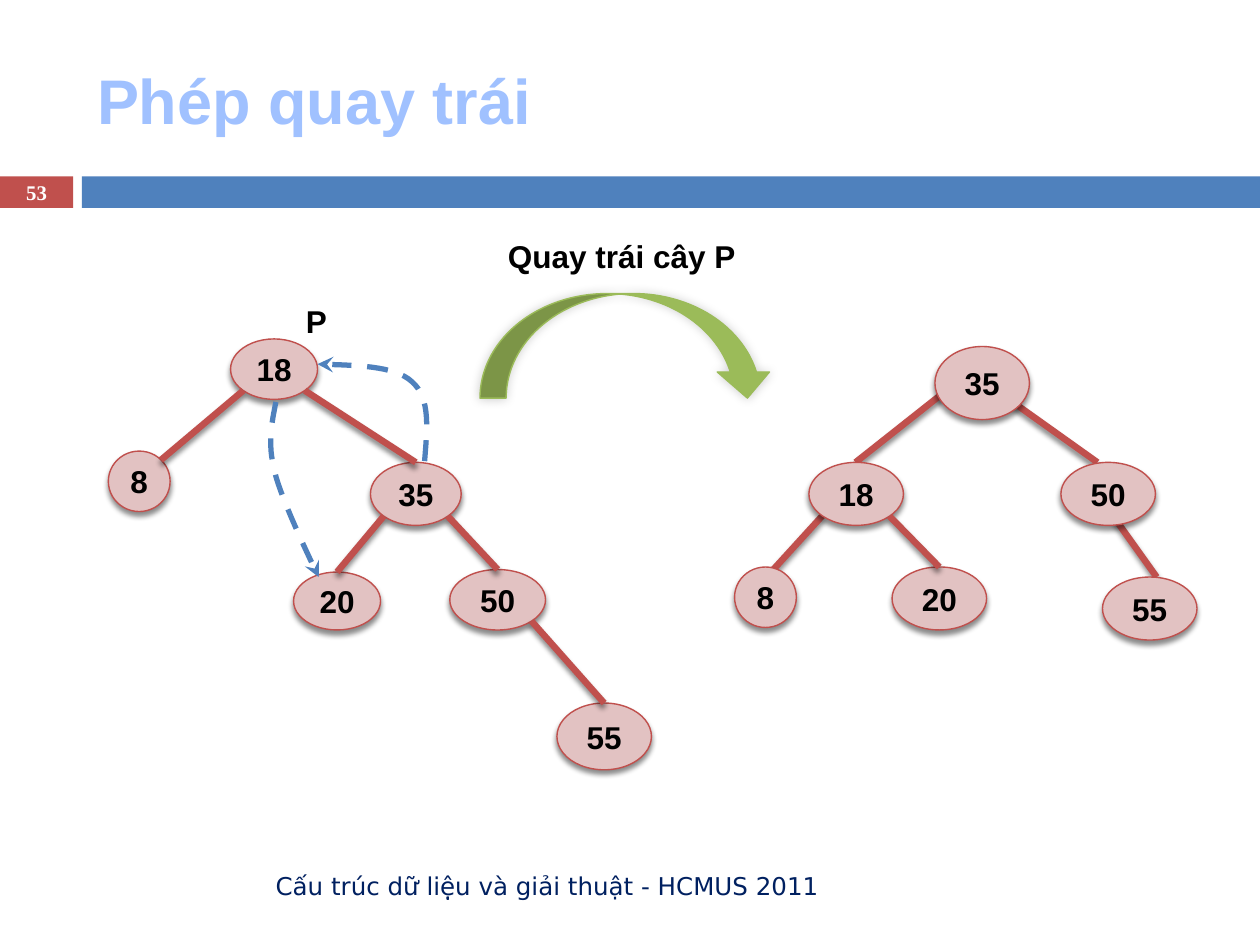
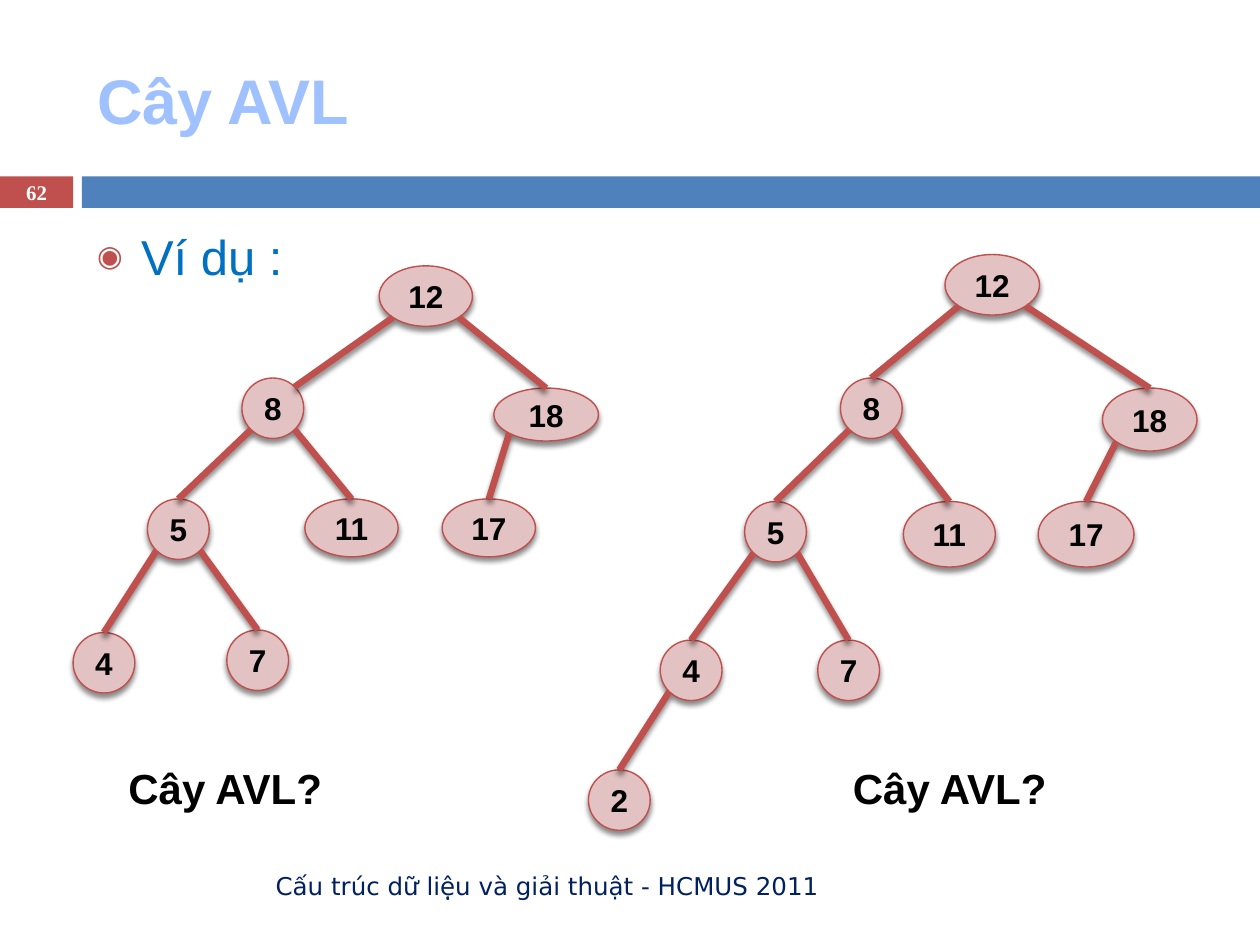
from math import sqrt

from pptx import Presentation
from pptx.dml.color import RGBColor
from pptx.enum.dml import MSO_LINE
from pptx.enum.shapes import MSO_CONNECTOR, MSO_SHAPE
from pptx.enum.text import MSO_ANCHOR, MSO_AUTO_SIZE, PP_ALIGN
from pptx.oxml import parse_xml
from pptx.oxml.ns import nsdecls
from pptx.util import Emu, Inches, Pt

THEME = {
    "red": "C0504D", "blue": "4F81BD", "green": "9BBB59", "node": "E2C2C2",
    "title": dict(name="Arial", size=36, bold=True, color="A0C1FF"),
    "body": dict(name="Arial", size=28, bold=False, color="0070C0"),
    "label": dict(name="Arial", size=18, bold=True, color="000000"),
    "question": dict(name="Arial", size=24, bold=True, color="000000"),
    "footer": dict(name="DejaVu Sans", size=14, bold=False, color="002060"),
    "number": dict(name="Times New Roman", size=11.9, bold=True, color="FFFFFF"),
    "outline": 0.79, "edge": 3.75, "pointer": 3,
    "shadow": dict(alpha=45, blur=3, dist=2.4, angle=90),
    "arrow_shadow": dict(alpha=20, blur=6, dist=0, angle=315),
}
FOOTER = "Cấu trúc dữ liệu và giải thuật - HCMUS 2011"
TITLE_ONLY, TITLE_AND_BODY = 5, 1
LEFT, CENTER, RIGHT = PP_ALIGN.LEFT, PP_ALIGN.CENTER, PP_ALIGN.RIGHT

SMALL, WIDE = (0.49, 0.48), (0.75, 0.5)

# nodes: key -> left, top, width, height
# edges: parent, child; "side" ends at the child's upper side instead of its top
# tucked: parent, child, start, end of the edges that run under the nodes
BEFORE = dict(
    nodes={18: (1.83, 2.69, 0.69, 0.48), 8: (0.86, 3.58, *SMALL),
           35: (2.94, 3.67, 0.72, 0.5), 20: (2.33, 4.54, 0.69, 0.46),
           50: (3.57, 4.52, 0.76, 0.48), 55: (4.42, 5.58, 0.75, 0.53)},
    edges=[(18, 8, "side"), (18, 35), (35, 20), (35, 50), (50, 55)],
)
AFTER = dict(
    nodes={35: (7.42, 2.75, 0.75, 0.58), 18: (6.42, 3.67, *WIDE),
           50: (8.42, 3.67, *WIDE), 8: (5.83, 4.5, *SMALL),
           20: (7.08, 4.5, *WIDE), 55: (8.75, 4.58, *WIDE)},
    edges=[(18, 20)],
    tucked=[((7.51, 3.1), (6.79, 3.67)), ((7.91, 3.1), (8.71, 3.67)),
            ((6.53, 4.09), (6.12, 4.54)), ((8.83, 4.09), (9.18, 4.58))],
)
AVL_LEFT = dict(
    nodes={12: (3.01, 2.11, 0.74, 0.48), 8: (1.92, 3, *SMALL),
           18: (3.92, 3.08, 0.83, 0.42), 5: (1.17, 3.96, *SMALL),
           11: (2.42, 3.96, 0.74, 0.46), 17: (3.51, 3.96, 0.74, 0.46),
           4: (0.58, 5.02, *SMALL), 7: (1.8, 5, *SMALL)},
    edges=[(12, 8, "side"), (12, 18), (8, 5), (8, 11), (18, 17), (5, 4), (5, 7)],
)
AVL_RIGHT = dict(
    nodes={12: (7.5, 2.02, 0.75, 0.48), 8: (6.67, 3, *SMALL),
           18: (8.75, 3.08, *WIDE), 5: (5.91, 3.98, *SMALL),
           11: (7.17, 3.98, 0.73, 0.52), 17: (8.24, 3.98, 0.76, 0.52),
           4: (5.24, 5.08, *SMALL), 7: (6.49, 5.08, *SMALL),
           2: (4.67, 6.11, *SMALL)},
    edges=[(12, 8), (12, 18), (8, 5), (8, 11), (18, 17), (5, 4), (5, 7), (4, 2)],
)
# Each pointer is a chain of cubic curves: a start, then three points per curve
POINTERS = [
    [(2.19, 3.19), (2.16, 3.35), (2.12, 3.51), (2.18, 3.74),
     (2.23, 3.97), (2.53, 4.58), (2.53, 4.58)],
    [(3.37, 3.66), (3.39, 3.41), (3.42, 3.16), (3.27, 3.03),
     (3.13, 2.9), (2.82, 2.9), (2.52, 2.89)],
]
SLIDES = [
    dict(title="Phép quay trái", number="53", trees=[BEFORE, AFTER],
         labels=[("P", (2.33, 2.35, 0.58, 0.4), "label", LEFT),
                 ("Quay trái cây P", (3.81, 1.83, 2.25, 0.4), "label", CENTER)],
         turn=(3.81, 2.33, 2.33, 0.83), pointers=POINTERS),
    dict(title="Cây AVL", number="62", body="Ví dụ :", trees=[AVL_LEFT, AVL_RIGHT],
         labels=[("Cây AVL?", (x, 6, 2.58, 0.5), "question", LEFT)
                 for x in (0.92, 6.67)]),
]


def rgb(name):
    return RGBColor.from_string(THEME[name])


def inches(values):
    return [Inches(v) for v in values]


def write(sp, text, style, align=LEFT, anchor=MSO_ANCHOR.TOP, **frame):
    tf = sp.text_frame
    settings = dict(word_wrap=True, auto_size=MSO_AUTO_SIZE.NONE, vertical_anchor=anchor)
    for key, value in {**settings, **frame}.items():
        setattr(tf, key, value)
    p = tf.paragraphs[0]
    p.alignment, p.space_before = align, Pt(0)
    r = p.add_run()
    r.text = text
    fmt = dict(THEME[style])
    r.font.color.rgb = RGBColor.from_string(fmt.pop("color"))
    fmt["size"] = Pt(fmt["size"])
    for key, value in fmt.items():
        setattr(r.font, key, value)
    return p


def add_shadow(sp, kind="shadow"):
    s = THEME[kind]
    sp._element.spPr.append(parse_xml(
        f'<a:effectLst {nsdecls("a")}><a:outerShdw blurRad="{Pt(s["blur"])}" '
        f'dist="{Pt(s["dist"])}" dir="{s["angle"] * 60000}" rotWithShape="0">'
        f'<a:srgbClr val="000000"><a:alpha val="{s["alpha"] * 1000}"/></a:srgbClr>'
        '</a:outerShdw></a:effectLst>'))


def add_filled(s, kind, box, fill, line=None, shadow=None):
    sp = s.shapes.add_shape(kind, *inches(box))
    sp.fill.solid()
    sp.fill.fore_color.rgb = rgb(fill)
    if line:
        sp.line.color.rgb = rgb(line)
        sp.line.width = Pt(THEME["outline"])
    else:
        sp.line.fill.background()
    if shadow:
        add_shadow(sp, shadow)
    else:
        sp.shadow.inherit = False
    return sp


def add_label(s, text, box, style, align=LEFT, anchor=MSO_ANCHOR.TOP):
    write(s.shapes.add_textbox(*inches(box)), text, style, align, anchor)


def add_edge(s, start, end):
    c = s.shapes.add_connector(MSO_CONNECTOR.STRAIGHT, *inches(start + end))
    c.line.color.rgb = rgb("red")
    c.line.width = Pt(THEME["edge"])
    add_shadow(c)


def on_ellipse(box, dx, dy):
    """Point of the ellipse in box, dx and dy being shares of its half axes."""
    x, y, w, h = box
    return x + w / 2 * (1 + dx), y + h / 2 * (1 + dy)


def add_tree(s, nodes, edges, tucked=()):
    for start, end in tucked:
        add_edge(s, start, end)
    for key, box in nodes.items():
        sp = add_filled(s, MSO_SHAPE.OVAL, box, "node", "red", "shadow")
        write(sp, str(key), "label", CENTER, MSO_ANCHOR.MIDDLE, word_wrap=False,
              margin_left=0, margin_right=0)
    diagonal = sqrt(0.5)
    for parent, child, *to_side in edges:
        top, low = nodes[parent], nodes[child]
        side = diagonal if on_ellipse(low, 0, 0) > on_ellipse(top, 0, 0) else -diagonal
        end = on_ellipse(low, -side, -diagonal) if to_side else on_ellipse(low, 0, -1)
        add_edge(s, on_ellipse(top, side, diagonal), end)


def curve_points(chain, steps=16):
    """Sample a chain of cubic curves, leaving out its start."""
    for i in range(0, len(chain) - 1, 3):
        for step in range(1, steps + 1):
            t = step / steps
            weights = ((1 - t) ** 3, 3 * t * (1 - t) ** 2, 3 * t * t * (1 - t), t ** 3)
            yield tuple(Inches(sum(w * pt[axis] for w, pt in zip(weights, chain[i:i + 4])))
                        for axis in (0, 1))


def add_pointer(s, chain):
    builder = s.shapes.build_freeform(*inches(chain[0]))
    builder.add_line_segments(list(curve_points(chain)), close=False)
    sp = builder.convert_to_shape()
    sp.shadow.inherit = False
    sp.fill.background()
    sp.line.color.rgb = rgb("blue")
    sp.line.width = Pt(THEME["pointer"])
    sp.line.dash_style = MSO_LINE.DASH
    sp.line._get_or_add_ln().append(parse_xml(f'<a:tailEnd {nsdecls("a")} type="stealth"/>'))


def place(sp, box):
    for key, value in zip(("left", "top", "width", "height"), inches(box)):
        setattr(sp, key, value)


def add_bullet(p):
    pPr = p._p.get_or_add_pPr()
    pPr.set("marL", str(Inches(0.35)))
    pPr.set("indent", str(-Inches(0.35)))
    for tag in (f'buClr {nsdecls("a")}><a:srgbClr val="{THEME["red"]}"/></a:buClr',
                f'buSzPct {nsdecls("a")} val="60000"/',
                f'buChar {nsdecls("a")} char="◉"/'):
        pPr.append(parse_xml(f"<a:{tag}>"))


def add_slide(prs, title, number, trees, labels, body=None, turn=None, pointers=()):
    s = prs.slides.add_slide(prs.slide_layouts[TITLE_AND_BODY if body else TITLE_ONLY])
    add_filled(s, MSO_SHAPE.RECTANGLE, (0, 1.4, 0.58, 0.25), "red")
    add_filled(s, MSO_SHAPE.RECTANGLE, (0.65, 1.4, 9.35, 0.25), "blue")
    place(s.shapes.title, (0.67, 0.25, 8.92, 1.08))
    write(s.shapes.title, title, "title", anchor=MSO_ANCHOR.MIDDLE)
    add_label(s, FOOTER, (0.67, 6.83, 5.93, 0.4), "footer", RIGHT, MSO_ANCHOR.MIDDLE)
    add_label(s, number, (0, 1.39, 0.58, 0.27), "number", CENTER, MSO_ANCHOR.MIDDLE)
    if body:
        place(s.placeholders[1], (0.67, 1.75, 8.92, 4.92))
        add_bullet(write(s.placeholders[1], body, "body"))
    for tree in trees:
        add_tree(s, **tree)
    if turn:
        add_filled(s, MSO_SHAPE.CURVED_DOWN_ARROW, turn, "green", "green", "arrow_shadow")
    for label in labels:
        add_label(s, *label)
    for chain in pointers:
        add_pointer(s, chain)


def main():
    prs = Presentation()
    prs.slide_width, prs.slide_height = inches((10, 7.5))
    for content in SLIDES:
        add_slide(prs, **content)
    prs.save("out.pptx")


if __name__ == "__main__":
    main()
